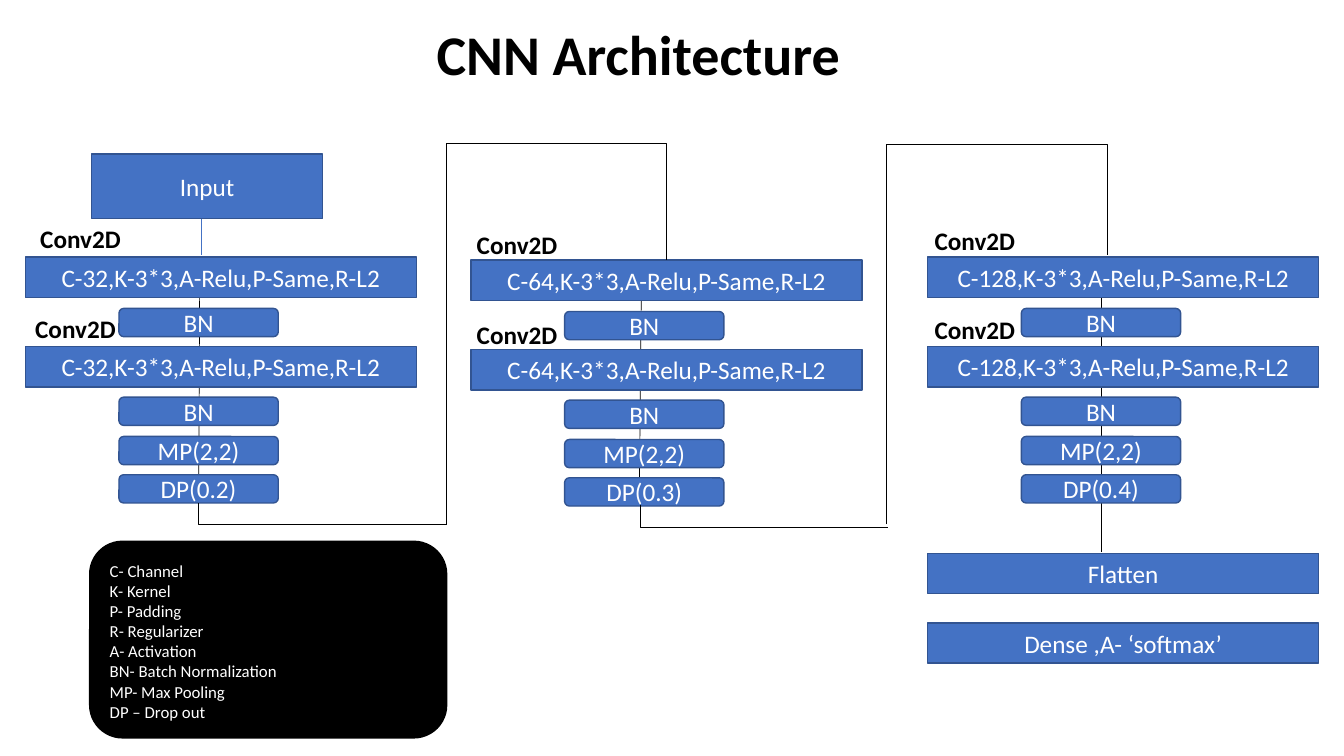
"""Build the CNN Architecture slide."""
import pptx
import pptx.util
import pptx.dml.color
import pptx.enum.shapes
import pptx.enum.text
import pptx.oxml.ns
import lxml.etree

Inches, Pt, qn = pptx.util.Inches, pptx.util.Pt, pptx.oxml.ns.qn
SHAPE = pptx.enum.shapes.MSO_SHAPE
LINK = pptx.enum.shapes.MSO_CONNECTOR
ALIGN = pptx.enum.text.PP_ALIGN
ANCHOR = pptx.enum.text.MSO_ANCHOR

COLORS = {"blue": "4472C4", "edge": "325491", "black": "000000", "white": "FFFFFF"}
TITLE = "CNN Architecture"
BLOCKS = [
    {"left": 0.25, "top": 2.55, "channels": 32, "drop": 0.2,
     "labels": [(0.3, 2.17), (0.25, 3.06)], "stem": (1.98, 1.97, 4.99)},
    {"left": 4.67, "top": 2.58, "channels": 64, "drop": 0.3,
     "labels": [(4.63, 2.23), (4.63, 3.12)], "stem": (6.36, 6.34, 5.01)},
    {"left": 9.2, "top": 2.55, "channels": 128, "drop": 0.4,
     "labels": [(9.17, 2.19), (9.17, 3.07)], "stem": (10.92, 10.92, 5.48)},
]
CONV = "C-{channels},K-3*3,A-Relu,P-Same,R-L2"
LAYERS = [(0, CONV), (0.89, CONV), (0.51, "BN"), (1.39, "BN"),
          (1.78, "MP(2,2)"), (2.16, "DP({drop})")]
OUTPUTS = [(5.49, "Flatten"), (6.18, "Dense ,A- ‘softmax’")]
EXITS = [(1.97, 4.99, 4.43, 5.2), (6.35, 5.01, 8.81, 5.23)]
ENTRIES = [(4.43, 5.2, 6.61, 2.58, 1.42), (8.79, 5.2, 10.98, 2.53, 1.43)]
LEGEND = ["C- Channel", "K- Kernel", "P- Padding", "R- Regularizer", "A- Activation",
          "BN- Batch Normalization", "MP- Max Pooling", "DP – Drop out "]
WIDE, SMALL, INDENT = (3.88, 0.4), (1.58, 0.28), 0.93

prs = pptx.Presentation()
prs.slide_width, prs.slide_height = Inches(13.33), Inches(7.5)
s = prs.slides.add_slide(prs.slide_layouts[5])


def rgb(name):
    return pptx.dml.color.RGBColor.from_string(COLORS[name])


def write(tf, lines, size, color, bold=False, align=ALIGN.LEFT):
    tf.word_wrap = True
    tf.text = "\n".join(lines)
    for p in tf.paragraphs:
        p.alignment = align
        p.font.name, p.font.size, p.font.bold = "Calibri", Pt(size), bold
        p.font.color.rgb = rgb(color)


def add_text(x, y, w, h, lines, size, color, bold=False):
    tb = s.shapes.add_textbox(*map(Inches, (x, y, w, h)))
    write(tb.text_frame, lines, size, color, bold)


def add_box(kind, x, y, w, h, text="", fill="blue", edge="edge"):
    sp = s.shapes.add_shape(kind, *map(Inches, (x, y, w, h)))
    sp.shadow.inherit = False
    sp.fill.solid()
    sp.fill.fore_color.rgb = rgb(fill)
    sp.line.color.rgb = rgb(edge)
    sp.line.width = Pt(1)
    if text:
        sp.text_frame.vertical_anchor = ANCHOR.MIDDLE
        write(sp.text_frame, [text], 18, "white", align=ALIGN.CENTER)


def add_line(x1, y1, x2, y2, color="black", kind=LINK.STRAIGHT):
    cn = s.shapes.add_connector(kind, *map(Inches, (x1, y1, x2, y2)))
    cn.line.color.rgb = rgb(color)
    cn.line.width = Pt(0.5)
    lxml.etree.SubElement(cn._element.spPr, qn("a:effectLst"))
    return cn


def add_bend(x1, y1, x2, y2, preset, degrees, flips, adjust=None):
    cx, cy = (x1 + x2) / 2, (y1 + y2) / 2
    w, h = abs(y2 - y1), abs(x2 - x1)
    cn = add_line(cx - w / 2, cy - h / 2, cx + w / 2, cy + h / 2, kind=LINK.ELBOW)
    xfrm = cn._element.spPr.find(qn("a:xfrm"))
    xfrm.set("rot", str(degrees * 60000))
    for flip in flips:
        xfrm.set(flip, "1")
    geom = cn._element.spPr.find(qn("a:prstGeom"))
    geom.set("prst", preset)
    if adjust:
        guide = lxml.etree.SubElement(geom.find(qn("a:avLst")), qn("a:gd"))
        guide.set("name", "adj1")
        guide.set("fmla", f"val {round(adjust * 100000)}")


title = s.shapes.title
title.left, title.top, title.width, title.height = map(Inches, (4.23, 0.14, 6.9, 0.77))
title.text_frame.vertical_anchor = ANCHOR.TOP
write(title.text_frame, [TITLE], 40, "black", True)

for block in BLOCKS:
    x_top, x_end, y_end = block["stem"]
    add_line(x_top, block["top"] + WIDE[1], x_end, y_end)
    for offset, text in LAYERS:
        wide = text == CONV
        add_box(SHAPE.RECTANGLE if wide else SHAPE.ROUNDED_RECTANGLE,
                block["left"] + (0 if wide else INDENT), block["top"] + offset,
                *(WIDE if wide else SMALL), text.format(**block))
    for x, y in block["labels"]:
        add_text(x, y, 1.18, 0.4, ["Conv2D"], 18, "black", True)

for y, text in OUTPUTS:
    add_box(SHAPE.RECTANGLE, BLOCKS[-1]["left"], y, *WIDE, text)
for ends in EXITS:
    add_bend(*ends, "bentConnector2", 270, ["flipH"])
for x1, y1, x2, y2, peak in ENTRIES:
    add_bend(x1, y1, x2, y2, "bentConnector3", 90, ["flipH", "flipV"],
             (y1 - peak) / (y1 - y2))

add_box(SHAPE.ROUNDED_RECTANGLE, 0.89, 5.37, 3.54, 1.95, fill="black", edge="black")
add_text(0.99, 5.51, 2.84, 1.92, LEGEND, 12, "white")
add_box(SHAPE.RECTANGLE, 0.91, 1.53, 2.29, 0.64, "Input")
add_line(2, 2.17, 2, 2.53, "blue")

prs.save("out.pptx")
